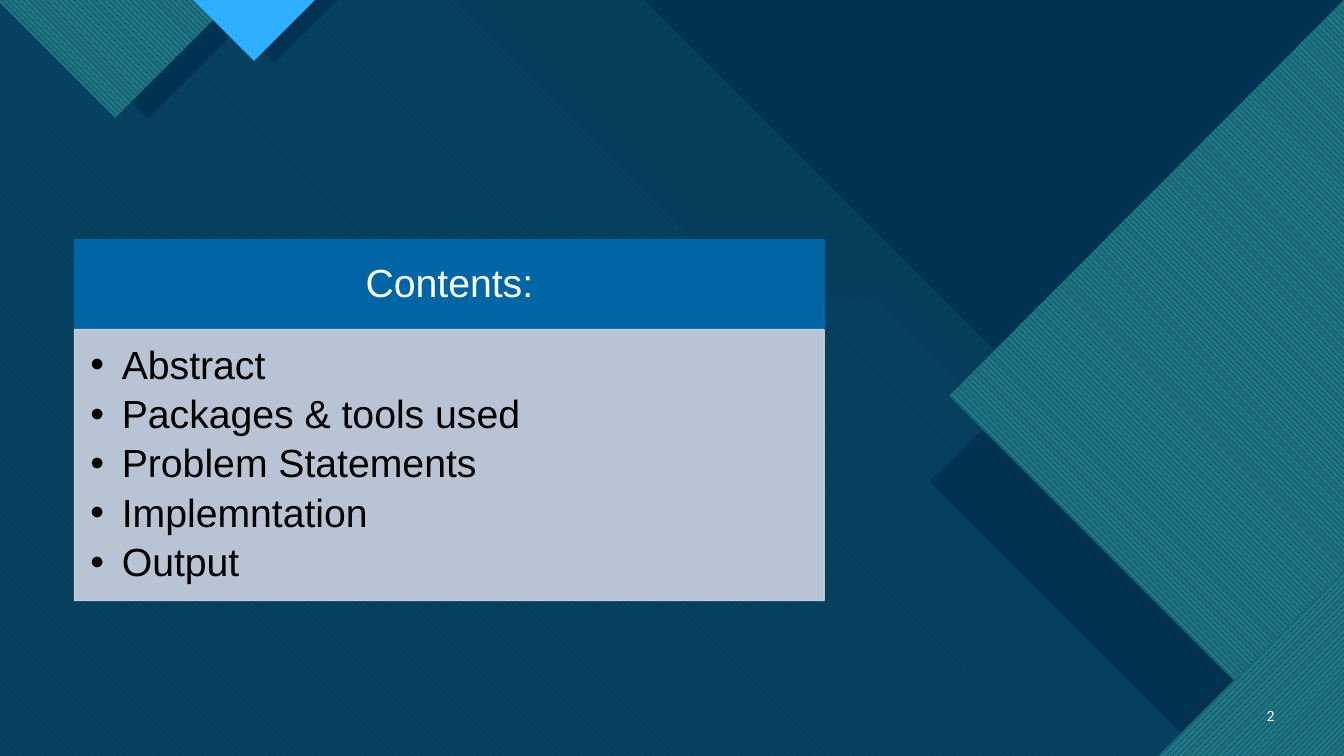
from lxml import etree
from pptx import Presentation
from pptx.dml.color import RGBColor
from pptx.enum.dml import MSO_PATTERN
from pptx.enum.shapes import MSO_SHAPE
from pptx.enum.text import MSO_ANCHOR as ANCHOR, MSO_AUTO_SIZE, PP_ALIGN as ALIGN
from pptx.oxml.ns import qn
from pptx.util import Pt

PX = 9525
WIDTH, HEIGHT = 1280, 720
NAVY, TEAL, AQUA, SKY, BLUE = "003352", "1B6872", "47C3D3", "2FAFFF", "0065A4"
DOWN = MSO_PATTERN.WIDE_DOWNWARD_DIAGONAL
UP = MSO_PATTERN.WIDE_UPWARD_DIAGONAL
TOPICS = ["Abstract", "Packages & tools used", "Problem Statements", "Implemntation", "Output"]


def rgb(value):
    return RGBColor.from_string(value)


def set_opacity(element, percent):
    for color in element.iter(qn("a:srgbClr")):
        etree.SubElement(color, qn("a:alpha")).set("val", str(percent * 1000))


def add_polygon(slide, points, color, opacity=100, pattern=None, back=None):
    """Draw a borderless outline, solid or hatched in color over back."""
    builder = slide.shapes.build_freeform(*points[0], scale=PX)
    builder.add_line_segments(points[1:], close=True)
    shape = builder.convert_to_shape()
    shape.shadow.inherit = False
    shape.line.fill.background()
    if pattern is None:
        shape.fill.solid()
    else:
        shape.fill.patterned()
        shape.fill.pattern = pattern
        shape.fill.back_color.rgb = rgb(back)
    shape.fill.fore_color.rgb = rgb(color)
    if opacity < 100:
        set_opacity(shape.element.spPr, opacity)


def stepped_sheet(start, step, shelf):
    """Outline of a full-height sheet whose right edge falls at 45° with one flat shelf."""
    drop = WIDTH - start - step - shelf
    return [(0, 0), (start, 0), (start + step, step), (start + step + shelf, step),
            (WIDTH, step + drop), (WIDTH, HEIGHT), (0, HEIGHT)]


def hanging_triangle(centre, depth):
    return [(centre - depth, 0), (centre, depth), (centre + depth, 0)]


def add_backdrop(slide):
    slide.background.fill.solid()
    slide.background.fill.fore_color.rgb = rgb("0C4360")
    add_polygon(slide, stepped_sheet(793, 285, 107), AQUA, opacity=74)
    add_polygon(slide, stepped_sheet(431, 285, 121), BLUE, pattern=DOWN, back=AQUA)
    add_polygon(slide, [(614, 0), (WIDTH, 0), (WIDTH, 666)], NAVY)
    add_polygon(slide, stepped_sheet(667, 285, 121), NAVY, opacity=90)

    add_polygon(slide, [(WIDTH, 65), (WIDTH, HEIGHT), (1147, HEIGHT), (886, 459)], NAVY)
    add_polygon(slide, [(WIDTH, 0), (WIDTH, HEIGHT), (1247, HEIGHT), (904, 377)],
                SKY, pattern=DOWN, back=TEAL)
    add_polygon(slide, [(WIDTH, 543), (WIDTH, HEIGHT), (1103, HEIGHT)],
                SKY, pattern=UP, back=TEAL)

    add_polygon(slide, hanging_triangle(141, 113), NAVY)
    add_polygon(slide, hanging_triangle(110, 112), SKY, pattern=DOWN, back=TEAL)
    add_polygon(slide, hanging_triangle(261, 60), NAVY)
    add_polygon(slide, hanging_triangle(242, 58), SKY)


def place(shape, box):
    shape.left, shape.top, shape.width, shape.height = (length * PX for length in box)


def fill_box(shape, color):
    shape.fill.solid()
    shape.fill.fore_color.rgb = rgb(color)
    shape.line.color.rgb = rgb(color)
    shape.line.width = Pt(1)


def set_frame(shape, anchor, insets):
    frame = shape.text_frame
    frame.auto_size = MSO_AUTO_SIZE.NONE
    frame.word_wrap = True
    frame.vertical_anchor = anchor
    (frame.margin_left, frame.margin_top,
     frame.margin_right, frame.margin_bottom) = (inset * PX for inset in insets)
    return frame


def add_run(paragraph, text, size, color, font="Arial"):
    run = paragraph.add_run()
    run.text = text
    run.font.size = Pt(size)
    run.font.name = font
    run.font.color.rgb = rgb(color)


def set_bullet(paragraph, indent):
    properties = paragraph._p.get_or_add_pPr()
    properties.set("marL", str(indent * PX))
    properties.set("indent", str(-indent * PX))
    etree.SubElement(properties, qn("a:buFont")).set("typeface", "Arial")
    etree.SubElement(properties, qn("a:buChar")).set("char", "•")


def add_contents(slide, box):
    left, top, width, height = box
    header = 86
    title = slide.shapes.title
    slide.shapes.element.append(title.element)  # bring in front of the backdrop
    place(title, (left, top, width, header))
    fill_box(title, BLUE)
    paragraph = set_frame(title, ANCHOR.MIDDLE, (21, 12, 21, 12)).paragraphs[0]
    paragraph.alignment = ALIGN.CENTER
    paragraph.line_spacing = 0.9
    add_run(paragraph, "Contents:", 28, "FFFFFF")

    panel = slide.shapes.add_shape(MSO_SHAPE.RECTANGLE, 0, 0, 0, 0)
    place(panel, (left, top + header, width, height - header))
    panel.shadow.inherit = False
    fill_box(panel, "CCD3E0")
    set_opacity(panel.element.spPr, 90)
    frame = set_frame(panel, ANCHOR.TOP, (15, 15, 21, 23))
    for index, topic in enumerate(TOPICS):
        paragraph = frame.add_paragraph() if index else frame.paragraphs[0]
        paragraph.alignment = ALIGN.LEFT
        paragraph.line_spacing = 0.9
        paragraph.space_after = Pt(5)
        set_bullet(paragraph, 30)
        add_run(paragraph, topic, 28, "000000")


def add_slide_number(slide, box):
    number = slide.shapes.add_textbox(0, 0, 0, 0)
    place(number, box)
    paragraph = set_frame(number, ANCHOR.MIDDLE, (10, 5, 10, 5)).paragraphs[0]
    paragraph.alignment = ALIGN.RIGHT
    add_run(paragraph, "2", 10, "FFFFFF", "Roboto")


def main():
    presentation = Presentation()
    presentation.slide_width = WIDTH * PX
    presentation.slide_height = HEIGHT * PX
    slide = presentation.slides.add_slide(presentation.slide_layouts[5])
    add_backdrop(slide)
    add_contents(slide, (71, 228, 714, 344))
    add_slide_number(slide, (1182, 663, 42, 38))
    presentation.save("out.pptx")


if __name__ == "__main__":
    main()
